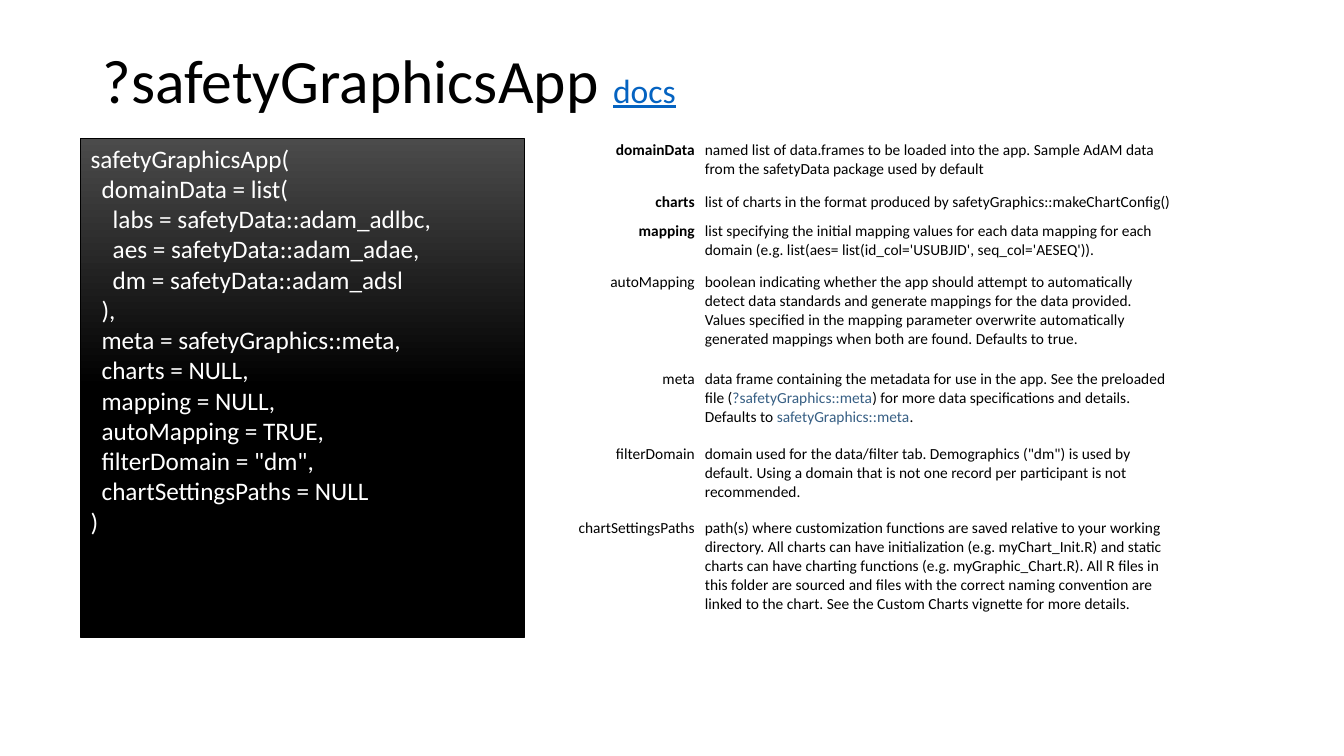
from dataclasses import dataclass

from pptx import Presentation
from pptx.dml.color import RGBColor
from pptx.enum.shapes import MSO_SHAPE
from pptx.enum.text import MSO_ANCHOR, PP_ALIGN
from pptx.util import Inches, Pt


@dataclass(frozen=True)
class Theme:
    font: str = "Calibri"
    ink: str = "000000"
    paper: str = "FFFFFF"
    link: str = "0563C1"
    reference: str = "375F84"
    code_top: str = "4B4B4B"
    title: int = 44
    docs: int = 24
    code: int = 18
    body: int = 11


THEME = Theme()
SLIDE_W, SLIDE_H = Inches(13.33), Inches(7.5)
CODE_INDENT = Inches(0.11)

# Boxes as left, top, width, height in percent of the slide
TITLE_BOX = (6.9, 5.33, 86.25, 11.33)
CODE_BOX = (6, 18.27, 33, 66)
ARGUMENTS_BOX = (42.6, 18.27, 45.1, 66)
NAME_SHARE = 0.21

# Indent level and text of each code line
CODE = [
    (0, "safetyGraphicsApp("),
    (1, "domainData = list("),
    (2, "labs = safetyData::adam_adlbc,"),
    (2, "aes = safetyData::adam_adae,"),
    (2, "dm = safetyData::adam_adsl"),
    (1, "),"),
    (1, "meta = safetyGraphics::meta,"),
    (1, "charts = NULL,"),
    (1, "mapping = NULL,"),
    (1, "autoMapping = TRUE,"),
    (1, 'filterDomain = "dm",'),
    (1, "chartSettingsPaths = NULL"),
    (0, ")"),
]

# Name, bold name, row height in inches, description as (text, colour) runs
ARGUMENTS = [
    ("domainData", True, 0.51, [
        ("named list of data.frames to be loaded into the app. Sample AdAM data "
         "from the safetyData package used by default", THEME.ink)]),
    ("charts", True, 0.29, [
        ("list of charts in the format produced by "
         "safetyGraphics::makeChartConfig()", THEME.ink)]),
    ("mapping", True, 0.51, [
        ("list specifying the initial mapping values for each data mapping for each "
         "domain (e.g. list(aes= list(id_col='USUBJID', seq_col='AESEQ')).", THEME.ink)]),
    ("autoMapping", False, 0.96, [
        ("boolean indicating whether the app should attempt to automatically detect "
         "data standards and generate mappings for the data provided. Values specified "
         "in the mapping parameter overwrite automatically generated mappings when "
         "both are found. Defaults to true.", THEME.ink)]),
    ("meta", False, 0.74, [
        ("data frame containing the metadata for use in the app. "
         "See the preloaded file (", THEME.ink),
        ("?safetyGraphics::meta", THEME.reference),
        (") for more data specifications and details. Defaults to ", THEME.ink),
        ("safetyGraphics::meta", THEME.reference),
        (".", THEME.ink)]),
    ("filterDomain", False, 0.74, [
        ('domain used for the data/filter tab. Demographics ("dm") is used by default. '
         "Using a domain that is not one record per participant is not "
         "recommended.", THEME.ink)]),
    ("chartSettingsPaths", False, 1.19, [
        ("path(s) where customization functions are saved relative to your working "
         "directory. All charts can have initialization (e.g. myChart_Init.R) and static "
         "charts can have charting functions (e.g. myGraphic_Chart.R). All R files in "
         "this folder are sourced and files with the correct naming convention are "
         "linked to the chart. See the Custom Charts vignette for more details.",
         THEME.ink)]),
]


def place(box):
    left, top, width, height = box
    return (int(SLIDE_W * left / 100), int(SLIDE_H * top / 100),
            int(SLIDE_W * width / 100), int(SLIDE_H * height / 100))


def rgb(colour):
    return RGBColor.from_string(colour)


def write(paragraph, text, *, size=THEME.body, colour=THEME.ink, bold=False,
          underline=False, align=PP_ALIGN.LEFT):
    paragraph.alignment = align
    run = paragraph.add_run()
    run.text = text
    run.font.name = THEME.font
    run.font.size = Pt(size)
    run.font.color.rgb = rgb(colour)
    run.font.bold = bold
    run.font.underline = underline


def add_title(slide, box):
    frame = slide.shapes.add_textbox(*place(box)).text_frame
    frame.word_wrap = True
    frame.vertical_anchor = MSO_ANCHOR.MIDDLE
    heading = frame.paragraphs[0]
    heading.line_spacing = 0.9
    write(heading, "?safetyGraphicsApp ", size=THEME.title)
    write(heading, "docs", size=THEME.docs, colour=THEME.link, underline=True)


def add_code_panel(slide, box):
    panel = slide.shapes.add_shape(MSO_SHAPE.RECTANGLE, *place(box))
    panel.shadow.inherit = False
    panel.line.color.rgb = rgb(THEME.ink)
    panel.line.width = Pt(0.5)

    # Fade to black by mid-height
    panel.fill.gradient()
    panel.fill.gradient_angle = 270
    fade = [(0, THEME.code_top), (0.5, THEME.ink)]
    for stop, (position, colour) in zip(panel.fill.gradient_stops, fade):
        stop.position = position
        stop.color.rgb = rgb(colour)

    frame = panel.text_frame
    frame.word_wrap = True
    frame.vertical_anchor = MSO_ANCHOR.TOP
    for number, (level, code) in enumerate(CODE):
        line = frame.add_paragraph() if number else frame.paragraphs[0]
        write(line, code, size=THEME.code, colour=THEME.paper)
        indent = line._p.get_or_add_pPr()
        indent.set("marL", str(level * CODE_INDENT))
        indent.set("indent", "0")


def prepare_cell(cell):
    cell.fill.solid()
    cell.fill.fore_color.rgb = rgb(THEME.paper)
    cell.margin_left = cell.margin_right = Inches(0.05)
    cell.margin_top = cell.margin_bottom = Inches(0.03)
    cell.vertical_anchor = MSO_ANCHOR.TOP
    return cell.text_frame.paragraphs[0]


def add_arguments(slide, box):
    left, top, width, height = place(box)
    table = slide.shapes.add_table(len(ARGUMENTS), 2, left, top, width, height).table
    table.first_row = table.horz_banding = False
    table.columns[0].width = int(width * NAME_SHARE)
    table.columns[1].width = width - table.columns[0].width

    for row, (name, bold, row_height, description) in enumerate(ARGUMENTS):
        table.rows[row].height = Inches(row_height)
        write(prepare_cell(table.cell(row, 0)), name, bold=bold, align=PP_ALIGN.RIGHT)
        explanation = prepare_cell(table.cell(row, 1))
        for text, colour in description:
            write(explanation, text, colour=colour)


def main():
    deck = Presentation()
    deck.slide_width, deck.slide_height = SLIDE_W, SLIDE_H
    slide = deck.slides.add_slide(deck.slide_layouts[6])
    add_title(slide, TITLE_BOX)
    add_code_panel(slide, CODE_BOX)
    add_arguments(slide, ARGUMENTS_BOX)
    deck.save("out.pptx")


if __name__ == "__main__":
    main()
